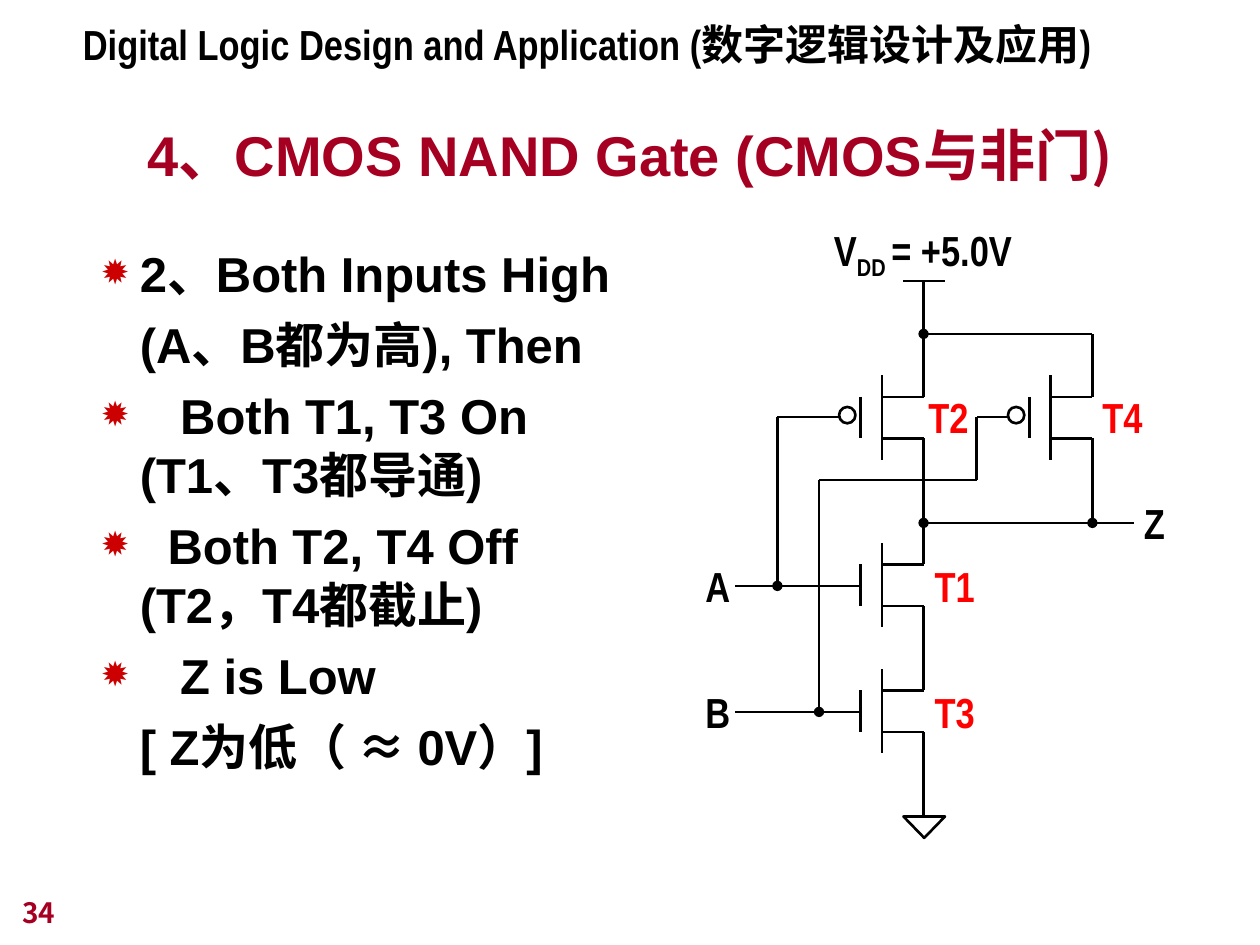
"""Build the CMOS NAND gate slide: title, bullet list and transistor circuit."""
from dataclasses import dataclass
from typing import Optional

from lxml.etree import SubElement
from pptx import Presentation
from pptx.dml.color import RGBColor
from pptx.enum.shapes import MSO_CONNECTOR as Connector, MSO_SHAPE as Shape
from pptx.enum.text import MSO_ANCHOR as Anchor, MSO_AUTO_SIZE as AutoSize, PP_ALIGN as Align
from pptx.oxml.ns import qn
from pptx.util import Inches, Pt


@dataclass(frozen=True)
class Theme:
    ink: str = "000000"
    crimson: str = "A50021"
    bullet: str = "CC0000"
    red: str = "FF0000"
    sans: str = "Arial"
    narrow: str = "Arial Narrow"
    cjk: str = "Noto Sans CJK JP"
    title_size: int = 32
    body_size: int = 28
    label_size: int = 24
    number_size: int = 16
    stroke: float = 1.5


@dataclass(frozen=True)
class Item:
    text: str
    bulleted: bool = False
    shift: float = 0
    before: int = 7


@dataclass(frozen=True)
class Wire:
    x1: float
    y1: float
    x2: float
    y2: float
    dot: Optional[str] = None


@dataclass(frozen=True)
class Transistor:
    gate: float
    top: float
    bubble: bool = False


@dataclass(frozen=True)
class Label:
    text: str
    left: float
    top: float
    width: float
    color: str
    subscript: str = ""
    rest: str = ""


THEME = Theme()
PITCH, HALF = 0.33, 0.17
BULLET_MARGIN, HANG = 0.81, 0.31

ITEMS = [
    Item("2、Both Inputs High", True, before=0),
    Item("(A、B都为高), Then"),
    Item("Both T1, T3 On", True, 0.32),
    Item("(T1、T3都导通)", before=0),
    Item("Both T2, T4 Off", True, 0.22),
    Item("(T2，T4都截止)", before=0),
    Item("Z is Low", True, 0.32),
    Item("[ Z为低（ ≈ 0V）]"),
]
TRANSISTORS = [
    Transistor(6.83, 3.15, True),
    Transistor(8.17, 3.15, True),
    Transistor(6.83, 4.48),
    Transistor(6.83, 5.48),
]
WIRES = [
    Wire(7.17, 2.23, 7.5, 2.23),
    Wire(7.33, 3.15, 7.33, 2.23),
    Wire(7.33, 2.65, 8.67, 2.65, "headEnd"),
    Wire(8.67, 3.15, 8.67, 2.65),
    Wire(8.67, 3.48, 8.67, 4.15, "tailEnd"),
    Wire(7.33, 3.48, 7.33, 4.48),
    Wire(7.33, 4.15, 9, 4.15, "headEnd"),
    Wire(7.33, 5.48, 7.33, 4.81),
    Wire(7.33, 6.48, 7.33, 5.81),
    Wire(6.83, 4.65, 5.83, 4.65),
    Wire(6.83, 5.65, 5.83, 5.65),
    Wire(6.67, 3.31, 6.17, 3.31),
    Wire(6.17, 3.31, 6.17, 4.65, "tailEnd"),
    Wire(8, 3.31, 7.75, 3.31),
    Wire(7.75, 3.31, 7.75, 3.81),
    Wire(6.5, 3.81, 7.75, 3.81),
    Wire(6.5, 3.81, 6.5, 5.65, "tailEnd"),
]
LABELS = [
    Label("Digital Logic Design and Application (数字逻辑设计及应用)", 0.56, 0.1, 8.37, THEME.ink),
    Label("V", 6.52, 1.73, 1.61, THEME.ink, "DD ", "= +5.0V"),
    Label("Z", 8.98, 3.9, 0.36, THEME.ink),
    Label("A", 5.5, 4.4, 0.39, THEME.ink),
    Label("B", 5.5, 5.4, 0.39, THEME.ink),
    Label("T1", 7.32, 4.4, 0.52, THEME.red),
    Label("T2", 7.27, 3.06, 0.52, THEME.red),
    Label("T3", 7.32, 5.4, 0.52, THEME.red),
    Label("T4", 8.65, 3.06, 0.52, THEME.red),
]


def place(shape, left: float, top: float, width: float, height: float) -> None:
    """Move and size a shape in inches."""
    shape.left, shape.top = Inches(left), Inches(top)
    shape.width, shape.height = Inches(width), Inches(height)


def add_run(paragraph, text: str, size: int, color: str, face: str, baseline: int = 0) -> None:
    """Append one bold run with Latin and East Asian fonts."""
    run = paragraph.add_run()
    run.text = text
    run.font.size, run.font.bold, run.font.name = Pt(size), True, face
    run.font.color.rgb = RGBColor.from_string(color)
    SubElement(run.font._element, qn("a:ea")).set("typeface", THEME.cjk)
    if baseline:
        run.font._element.set("baseline", str(baseline))


def add_item(paragraph, item: Item) -> None:
    """Fill one list paragraph, bulleted or plain."""
    paragraph.level = 1
    props = paragraph._p.get_or_add_pPr()
    margin = BULLET_MARGIN + item.shift
    props.set("marL", str(Inches(margin)))
    props.set("indent", str(Inches(-HANG - item.shift) if item.bulleted else 0))
    if item.bulleted:
        SubElement(SubElement(props, qn("a:buClr")), qn("a:srgbClr")).set("val", THEME.bullet)
        SubElement(props, qn("a:buSzPct")).set("val", "70000")
        SubElement(props, qn("a:buChar")).set("char", "✹")
    else:
        SubElement(props, qn("a:buNone"))
    paragraph.space_before = Pt(item.before)
    add_run(paragraph, item.text, THEME.body_size, THEME.ink, THEME.sans)


def add_wire(shapes, wire: Wire) -> None:
    """Draw a straight wire, with a junction dot at one end if asked."""
    ends = (Inches(v) for v in (wire.x1, wire.y1, wire.x2, wire.y2))
    connector = shapes.add_connector(Connector.STRAIGHT, *ends)
    connector.line.width = Pt(THEME.stroke)
    connector.line.color.rgb = RGBColor.from_string(THEME.ink)
    if wire.dot:
        SubElement(connector.line._get_or_add_ln(), qn(f"a:{wire.dot}")).set("type", "oval")
    SubElement(connector._element.spPr, qn("a:effectLst"))


def add_outline(shapes, kind: Shape, left: float, top: float, width: float, height: float):
    """Draw an unfilled preset shape in the wire style."""
    shape = shapes.add_shape(kind, *(Inches(v) for v in (left, top, width, height)))
    shape.shadow.inherit = False
    shape.fill.background()
    shape.line.width = Pt(THEME.stroke)
    shape.line.color.rgb = RGBColor.from_string(THEME.ink)
    return shape


def add_transistor(shapes, part: Transistor) -> None:
    """Draw gate, channel, two terminals and the optional inverting bubble."""
    channel, bottom = part.gate + HALF, part.top + PITCH
    add_wire(shapes, Wire(part.gate, part.top, part.gate, bottom))
    add_wire(shapes, Wire(channel, part.top - HALF, channel, bottom + HALF))
    for level in (part.top, bottom):
        add_wire(shapes, Wire(channel, level, part.gate + 0.5, level))
    if part.bubble:
        add_outline(shapes, Shape.OVAL, part.gate - 0.17, part.top + 0.08, 0.13, 0.13)


def add_label(shapes, label: Label) -> None:
    """Add a one-line label with an optional subscript."""
    box = shapes.add_textbox(*(Inches(v) for v in (label.left, label.top, label.width, 0.5)))
    box.text_frame.word_wrap = False
    box.text_frame.auto_size = AutoSize.SHAPE_TO_FIT_TEXT
    paragraph = box.text_frame.paragraphs[0]
    for text, baseline in ((label.text, 0), (label.subscript, -25000), (label.rest, 0)):
        if text:
            add_run(paragraph, text, THEME.label_size, label.color, THEME.narrow, baseline)


def main() -> None:
    """Assemble and save the slide."""
    deck = Presentation()
    deck.slide_width, deck.slide_height = Inches(10), Inches(7.5)
    slide = deck.slides.add_slide(deck.slide_layouts[1])
    shapes = slide.shapes
    title, body = shapes.title, slide.placeholders[1]
    place(title, 0.75, 0.71, 8.5, 0.83)
    title.text_frame.auto_size = AutoSize.NONE
    title.text_frame.vertical_anchor = Anchor.BOTTOM
    heading = title.text_frame.paragraphs[0]
    heading.alignment = Align.CENTER
    for text, face in (("4、CMOS NAND Gate (CMOS", THEME.sans), ("与非门)", THEME.cjk)):
        add_run(heading, text, THEME.title_size, THEME.crimson, face)

    place(body, 0.2, 1.88, 5.04, 5.33)
    body.text_frame.auto_size = AutoSize.NONE
    for index, item in enumerate(ITEMS):
        add_item(body.text_frame.add_paragraph() if index else body.text_frame.paragraphs[0], item)
    for wire in WIRES:
        add_wire(shapes, wire)
    for part in TRANSISTORS:
        add_transistor(shapes, part)
    add_outline(shapes, Shape.ISOSCELES_TRIANGLE, 7.17, 6.48, PITCH, HALF).rotation = 180
    for label in LABELS:
        add_label(shapes, label)

    number = shapes.add_textbox(Inches(0.08), Inches(6.92), Inches(2.08), Inches(0.5))
    number.text_frame.word_wrap = True
    number.text_frame.vertical_anchor = Anchor.BOTTOM
    add_run(number.text_frame.paragraphs[0], "34", THEME.number_size, THEME.crimson, THEME.cjk)
    deck.save("out.pptx")


if __name__ == "__main__":
    main()
